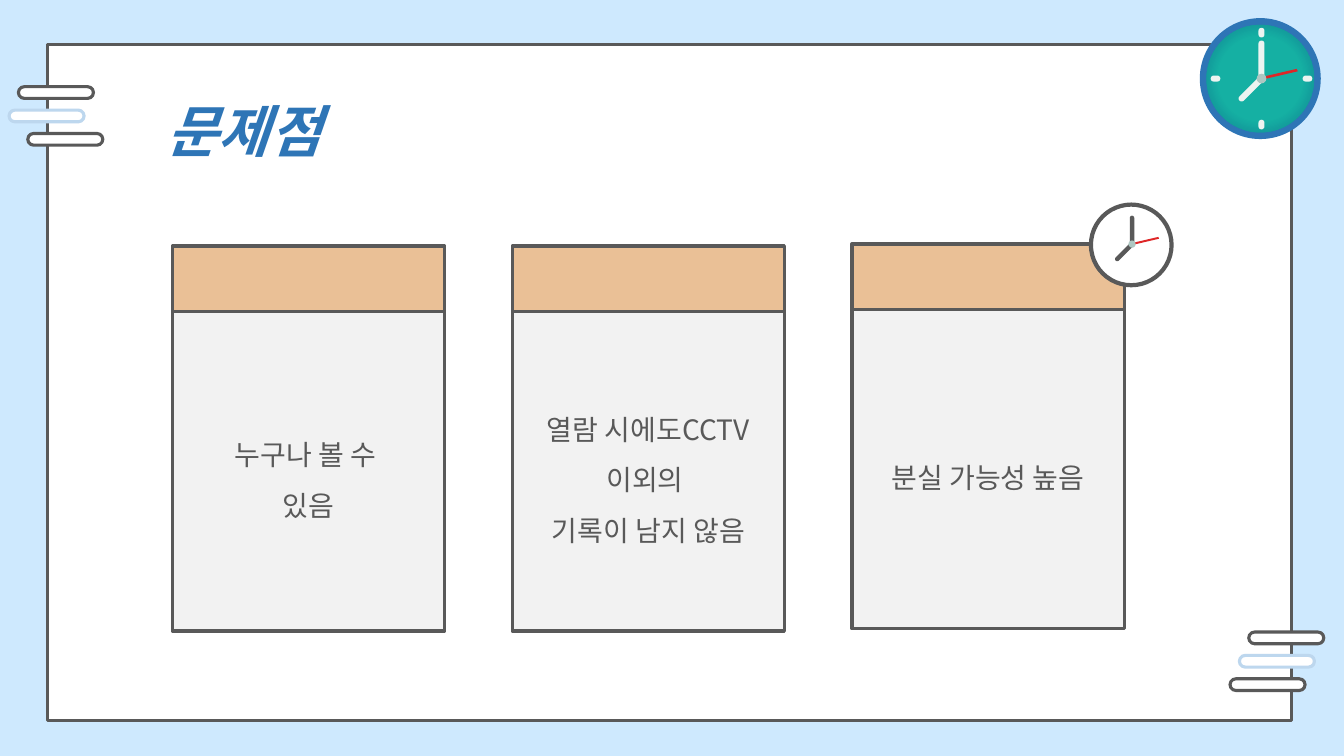
from collections import namedtuple

from lxml import etree
from pptx import Presentation
from pptx import util as u
from pptx.dml.color import RGBColor
from pptx.enum import shapes, text
from pptx.oxml.ns import qn

COLORS = {
    "sky": "CEE9FE", "white": "FFFFFF", "ink": "595959", "pale": "BDD7EE",
    "blue": "2E75B6", "sand": "EAC096", "gray": "F2F2F2", "teal": "15B0A3",
    "deep": "12999A", "mist": "EDF4F1", "red": "DE2627", "pin": "ADC7C2",
}
FONT = "Noto Sans CJK KR"
KIND = shapes.MSO_SHAPE
CARDS = [
    (2.44, ["누구나 볼 수 ", "있음"]),
    (2.44, ["열람 시에도CCTV 이외의 ", "기록이 남지 않음"]),
    (2.42, ["분실 가능성 높음"]),
]


class Box(namedtuple("Box", "left top width height")):
    """A rectangle in inches."""

    def inner(self, x, y, width, height):
        """Return the inner box given as shares of this one."""
        return Box(self.left + x * self.width, self.top + y * self.height,
                   width * self.width, height * self.height)

    def centered(self, x, y, width, height):
        """Return the inner box whose centre and size are given as shares."""
        return self.inner(x - width / 2, y - height / 2, width, height)

    def emu(self):
        """Return the four lengths for python-pptx."""
        return [u.Inches(length) for length in self]


def color(name):
    """Look up a colour by name."""
    return RGBColor.from_string(COLORS[name])


def paint(shape, fill, line=None, weight=2.25):
    """Give a shape its fill and outline."""
    shape.shadow.inherit = False
    shape.fill.solid()
    shape.fill.fore_color.rgb = color(fill)
    if line:
        shape.line.color.rgb = color(line)
        shape.line.width = u.Pt(weight)
    else:
        shape.line.fill.background()
    return shape


def add(parent, kind, box, fill, line=None, weight=2.25):
    """Add a painted preset shape; rounded ones get full round ends."""
    shape = parent.shapes.add_shape(kind, *box.emu())
    if kind == KIND.ROUNDED_RECTANGLE:
        shape.adjustments[0] = 0.5
    return paint(shape, fill, line, weight)


def write(frame, lines, align, size, ink, **styles):
    """Fill a text frame with one paragraph for each line."""
    frame.text = "\n".join(lines)
    for para in frame.paragraphs:
        para.alignment = align
        para.line_spacing = 1.5
        for span in para.runs:
            values = {"size": u.Pt(size), "name": FONT, **styles}
            for key, value in values.items():
                setattr(span.font, key, value)
            span.font.color.rgb = color(ink)
            latin = span.font._element.find(qn("a:latin"))
            latin.addnext(latin.makeelement(qn("a:ea"), {"typeface": FONT}))


def add_title(page, box, words):
    """Move and format the title placeholder above the panel."""
    title = page.shapes.title
    page.shapes._spTree.append(title._element)
    title.left, title.top, title.width, title.height = box.emu()
    frame = title.text_frame
    frame.auto_size = text.MSO_AUTO_SIZE.SHAPE_TO_FIT_TEXT
    frame.vertical_anchor = text.MSO_ANCHOR.TOP
    frame.word_wrap = True
    write(frame, [words], text.PP_ALIGN.LEFT, 40, "blue", bold=True, italic=True)


def add_bars(page, box, shifts):
    """Add three stacked pills, each shifted by a share of the box."""
    group = page.shapes.add_group_shape()
    for row, shift in enumerate(shifts):
        add(group, KIND.ROUNDED_RECTANGLE, box.inner(shift, row * 0.4, 0.8, 0.2),
            "white", "pale" if row == 1 else "ink")


def add_card(page, box, lines):
    """Add a card with a coloured header and a centred text body."""
    add(page, KIND.RECTANGLE, box.inner(0, 0, 1, 0.17), "sand", "ink")
    body = add(page, KIND.RECTANGLE, box.inner(0, 0.17, 1, 0.83), "gray", "ink")
    frame = body.text_frame
    frame.word_wrap = True
    frame.vertical_anchor = text.MSO_ANCHOR.MIDDLE
    frame.margin_left = frame.margin_right = u.Inches(0.28)
    write(frame, lines, text.PP_ALIGN.CENTER, 20, "ink")


def add_hands(group, box, fill):
    """Add the hour, minute and second hands with their pin."""
    add(group, KIND.ROUNDED_RECTANGLE, box.centered(0.5, 0.34, 0.05, 0.31), fill)
    hour = add(group, KIND.ROUNDED_RECTANGLE, box.centered(0.41, 0.59, 0.26, 0.05), fill)
    hour.rotation = -45
    corners = [(0.79, 0.42), (0.8, 0.44), (0.5, 0.51), (0.49, 0.49)]
    points = [box.inner(x, y, 0, 0).emu()[:2] for x, y in corners]
    pen = group.shapes.build_freeform(*points[0])
    pen.add_line_segments(points[1:])
    paint(pen.convert_to_shape(), "red")
    add(group, KIND.OVAL, box.centered(0.5, 0.5, 0.08, 0.08), "pin")


def add_plain_clock(page, box):
    """Add the white clock with an outlined face."""
    group = page.shapes.add_group_shape()
    add(group, KIND.OVAL, box, "white", "ink", 3)
    add_hands(group, box.centered(0.51, 0.49, 1.12, 1.12), "ink")


def add_teal_clock(page, box):
    """Add the clock with a radial gradient face and four ticks."""
    group = page.shapes.add_group_shape()
    add(group, KIND.OVAL, box, "blue")
    face = add(group, KIND.OVAL, box.centered(0.5, 0.5, 0.89, 0.89), "teal")
    face.fill.gradient()
    stops = zip(face.fill.gradient_stops, [(0.55, "teal"), (0.74, "deep")])
    for stop, (position, name) in stops:
        stop.position = position
        stop.color.rgb = color(name)
    gradient = face._element.spPr.find(qn("a:gradFill"))
    gradient.remove(gradient.find(qn("a:lin")))
    radial = etree.Element(qn("a:path"), {"path": "circle"})
    etree.SubElement(radial, qn("a:fillToRect"), dict.fromkeys("ltrb", "50000"))
    gradient.find(qn("a:gsLst")).addnext(radial)
    add_hands(group, box.centered(0.51, 0.5, 1, 1), "mist")
    for x, y in [(0, -1), (0, 1), (1, 0), (-1, 0)]:
        size = (0.05, 0.08) if y else (0.08, 0.05)
        add(group, KIND.ROUNDED_RECTANGLE,
            box.centered(0.51 + x * 0.38, 0.5 + y * 0.38, *size), "mist")


def build_page(page):
    """Lay out the whole problem slide."""
    page.background.fill.solid()
    page.background.fill.fore_color.rgb = color("sky")
    add(page, KIND.RECTANGLE, Box(0.47, 0.44, 12.34, 6.71), "white", "ink")
    add_bars(page, Box(0.09, 0.86, 0.93, 0.58), [0.1, 0, 0.2])
    add_title(page, Box(1.55, 0.57, 5.92, 1.31), "문제점")
    add_bars(page, Box(12.2, 6.27, 0.93, 0.58), [0.2, 0.1, 0])
    for column, (top, lines) in enumerate(CARDS):
        add_card(page, Box(1.71 + column * 3.37, top, 2.7, 3.82), lines)
    add_plain_clock(page, Box(10.82, 2.03, 0.8, 0.8))
    add_teal_clock(page, Box(11.9, 0.18, 1.2, 1.2))


def main():
    """Build and save the deck."""
    deck = Presentation()
    deck.slide_width, deck.slide_height = u.Inches(13.33), u.Inches(7.5)
    build_page(deck.slides.add_slide(deck.slide_layouts[5]))
    deck.save("out.pptx")


if __name__ == "__main__":
    main()
